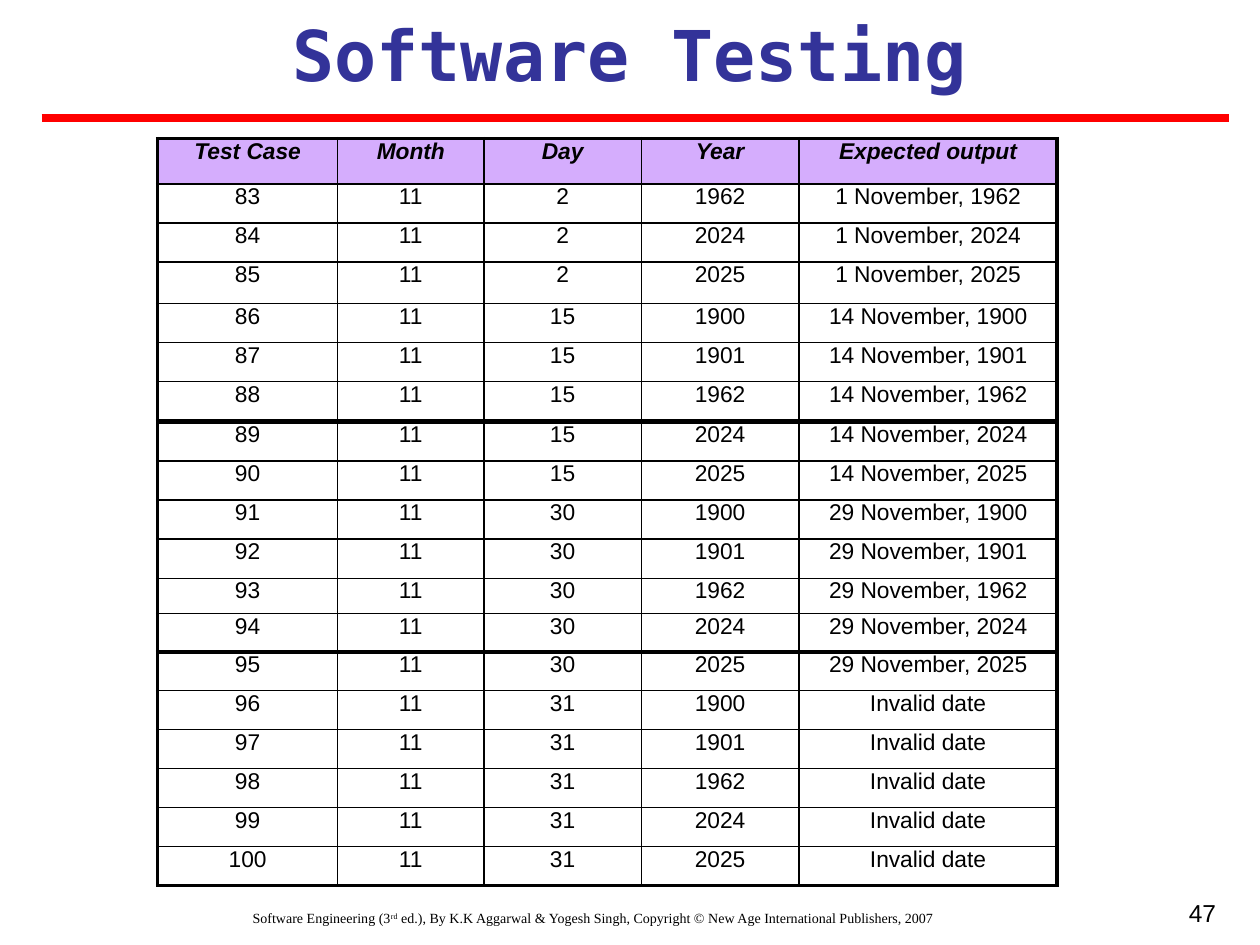
from dataclasses import dataclass
from itertools import product

from lxml import etree
from pptx import Presentation
from pptx.dml.color import RGBColor
from pptx.enum.shapes import MSO_CONNECTOR
from pptx.enum.text import MSO_ANCHOR, PP_ALIGN
from pptx.oxml.ns import qn
from pptx.util import Inches, Pt

CENTER, RIGHT = PP_ALIGN.CENTER, PP_ALIGN.RIGHT
TOP = MSO_ANCHOR.TOP
STRAIGHT = MSO_CONNECTOR.STRAIGHT

COLORS = {"title": "333399", "rule": "FF0000", "text": "000000", "header": "D5ADFD"}
FONTS = {
    "title": {"name": "DejaVu Sans Mono", "size": Pt(40), "bold": True},
    "footer": {"name": "Times New Roman", "size": Pt(8)},
    "number": {"name": "Arial", "size": Pt(14)},
    "header": {"name": "Arial", "size": Pt(13), "bold": True, "italic": True},
    "body": {"name": "Arial", "size": Pt(13), "bold": False, "italic": False},
}

GRID_COLS, GRID_ROWS = 1000, 750
TABLE_LEFT = 125
TABLE_COLS = [143, 116, 125, 125, 205]
THICK, THIN = Pt(2.25), Pt(1)

HEADER = ("Test Case", "Month", "Day", "Year", "Expected output")
MONTH = 11
DAYS = (2, 15, 30, 31)
YEARS = (1900, 1901, 1962, 2024, 2025)
FIRST_CASE, SHOWN_FROM = 81, 83

prs = Presentation()
prs.slide_width, prs.slide_height = Inches(10), Inches(7.5)


@dataclass
class Label:
    col: float
    row: float
    cols: float
    rows: float
    runs: list[tuple[str, int]]
    font: str
    color: str = "text"
    align: PP_ALIGN = CENTER
    top_inset: float = 5


@dataclass
class Block:
    row: float
    heights: list[float]
    has_header: bool = False


def gx(cols: float) -> int:
    return round(prs.slide_width * cols / GRID_COLS)


def gy(rows: float) -> int:
    return round(prs.slide_height * rows / GRID_ROWS)


def add_run(p, text: str, font: str, color: str):
    r = p.add_run()
    r.text = text
    for key, value in FONTS[font].items():
        setattr(r.font, key, value)
    r.font.color.rgb = RGBColor.from_string(COLORS[color])
    return r


def draw_label(s, label: Label) -> None:
    sp = s.shapes.add_textbox(gx(label.col), gy(label.row), gx(label.cols), gy(label.rows))
    tf = sp.text_frame
    tf.word_wrap, tf.vertical_anchor = True, TOP
    tf.margin_top = gy(label.top_inset)
    p = tf.paragraphs[0]
    p.alignment = label.align
    for text, baseline in label.runs:
        r = add_run(p, text, label.font, label.color)
        if baseline:
            r.font._element.set("baseline", str(baseline))


def draw_rule(s) -> None:
    line = s.shapes.add_connector(STRAIGHT, gx(33), gy(94), gx(975), gy(94))
    line.line.color.rgb = RGBColor.from_string(COLORS["rule"])
    line.line.width = Pt(4.5)
    etree.SubElement(line._element.spPr, qn("a:effectLst"))


def set_borders(cell, widths: dict[str, int]) -> None:
    tc_pr = cell._tc.get_or_add_tcPr()
    for side, width in widths.items():
        ln = etree.SubElement(tc_pr, qn(f"a:ln{side}"), w=str(width))
        fill = etree.SubElement(ln, qn("a:solidFill"))
        etree.SubElement(fill, qn("a:srgbClr"), val=COLORS["text"])


def draw_block(s, block: Block, rows: list[tuple]) -> None:
    n_rows, n_cols = len(rows), len(TABLE_COLS)
    table = s.shapes.add_table(
        n_rows, n_cols, gx(TABLE_LEFT), gy(block.row),
        gx(sum(TABLE_COLS)), gy(sum(block.heights)),
    ).table
    table.first_row = table.horz_banding = False
    for column, width in zip(table.columns, TABLE_COLS):
        column.width = gx(width)
    for table_row, height in zip(table.rows, block.heights):
        table_row.height = gy(height)
    for i, j in product(range(n_rows), range(n_cols)):
        is_header = block.has_header and i == 0
        cell = table.cell(i, j)
        cell.margin_top = cell.margin_bottom = 0
        cell.vertical_anchor = TOP
        set_borders(cell, {
            "L": THICK if j == 0 else THIN,
            "R": THICK if j == n_cols - 1 else THIN,
            "T": THICK if i == 0 else THIN,
            "B": THICK if i == n_rows - 1 else THIN,
        })
        if is_header:
            cell.fill.solid()
            cell.fill.fore_color.rgb = RGBColor.from_string(COLORS["header"])
        else:
            cell.fill.background()
        p = cell.text_frame.paragraphs[0]
        p.alignment = CENTER
        add_run(p, str(rows[i][j]), "header" if is_header else "body", "text")


def test_cases() -> list[tuple]:
    return [
        (case, MONTH, day, year,
         "Invalid date" if day == 31 else f"{day - 1} November, {year}")
        for case, (day, year) in enumerate(product(DAYS, YEARS), FIRST_CASE)
        if case >= SHOWN_FROM
    ]


LABELS = [
    Label(25, 717, 892, 33, [
        ("Software Engineering (3", 0), ("rd", 30000),
        (" ed.), By K.K Aggarwal & Yogesh Singh, Copyright © "
         "New Age International Publishers, 2007", 0),
    ], "footer"),
    Label(742, 708, 233, 59, [("47", 0)], "number", align=RIGHT),
    Label(33, 0, 933, 77, [("Software Testing", 0)], "title", "title", top_inset=9),
]
BLOCKS = [
    Block(110, [36, 31, 31, 33, 31, 31, 31], has_header=True),
    Block(335, [31, 31, 31, 31, 28, 31]),
    Block(517, [31] * 6),
]


def main() -> None:
    s = prs.slides.add_slide(prs.slide_layouts[6])
    for label in LABELS:
        draw_label(s, label)
    draw_rule(s)
    rows = [HEADER, *test_cases()]
    start = 0
    for block in BLOCKS:
        end = start + len(block.heights)
        draw_block(s, block, rows[start:end])
        start = end
    prs.save("out.pptx")


if __name__ == "__main__":
    main()
